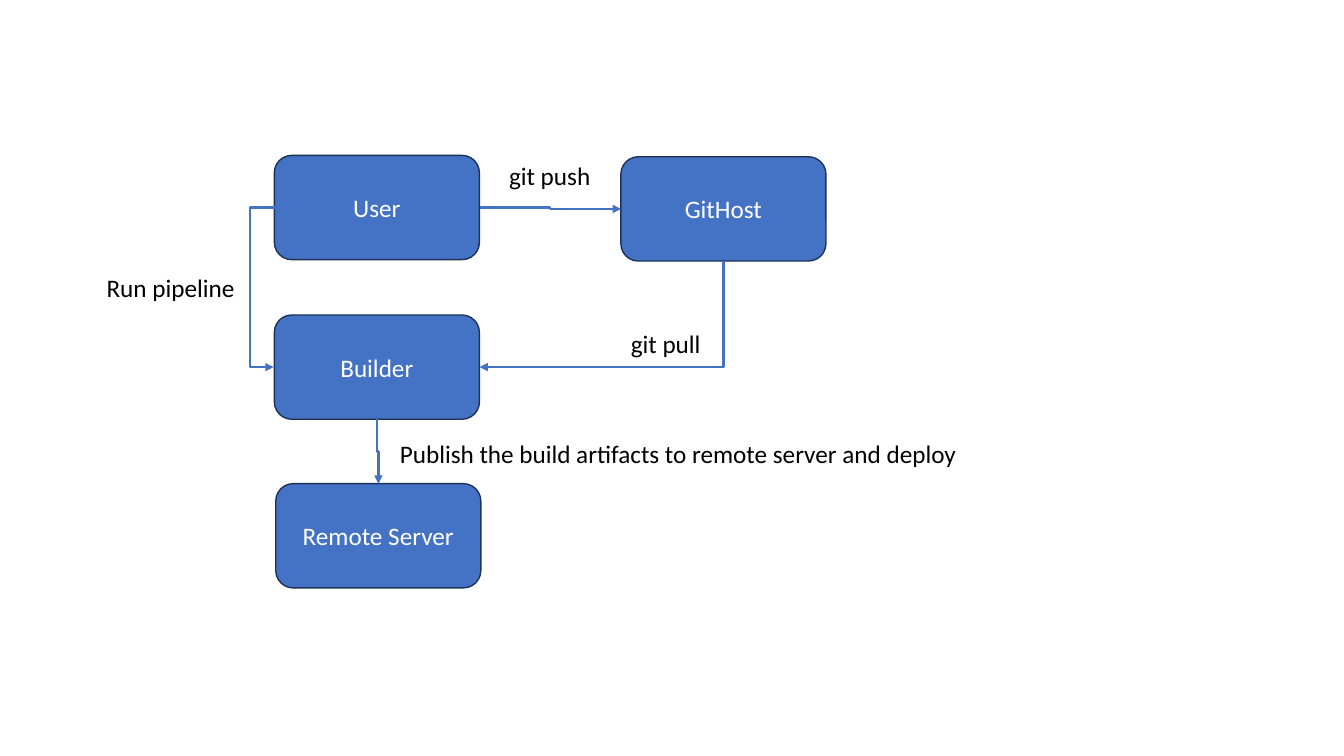
from lxml import etree
from pptx import Presentation
from pptx.dml.color import RGBColor
from pptx.enum import shapes, text
from pptx.oxml import ns
from pptx.util import Pt

BLUE, NAVY, WHITE, BLACK = "4472C4", "1E3256", "FFFFFF", "000000"
TOP, LEFT, BOTTOM, RIGHT = range(4)  # connection sites of a box
BOX_WIDTH, BOX_HEIGHT = 146.5, 74.5


def paint(color_format, color):
    """Set a fill or font colour from a hex string."""
    color_format.rgb = RGBColor.from_string(color)


def write(shape, words, color):
    """Put one line of 18 pt Calibri into a shape."""
    shape.text_frame.text = words
    font = shape.text_frame.paragraphs[0].runs[0].font
    font.name, font.size = "Calibri", Pt(18)
    paint(font.color, color)


deck = Presentation()
deck.slide_width, deck.slide_height = Pt(960), Pt(540)
page = deck.slides.add_slide(deck.slide_layouts[6])

# Stations of the pipeline: name, left, top
stations = [
    ("Remote Server", 197, 345.5),
    ("User", 196, 111),
    ("Builder", 196, 225),
    ("GitHost", 443.5, 112),
]
boxes = {}
for name, left, top in stations:
    box = page.shapes.add_shape(
        shapes.MSO_SHAPE.ROUNDED_RECTANGLE,
        Pt(left), Pt(top), Pt(BOX_WIDTH), Pt(BOX_HEIGHT))
    box.shadow.inherit = False
    box.fill.solid()
    paint(box.fill.fore_color, BLUE)
    box.line.width = Pt(1)
    paint(box.line.color, NAVY)
    write(box, name, WHITE)
    box.text_frame.vertical_anchor = text.MSO_ANCHOR.MIDDLE
    box.text_frame.paragraphs[0].alignment = text.PP_ALIGN.CENTER
    boxes[name] = box

# Step labels: words, left, top, width
labels = [
    ("git pull", 443.5, 231, 65),
    ("git push", 356.5, 111, 73.5),
    ("Run pipeline", 69, 191, 107),
    ("Publish the build artifacts to remote server and deploy", 278.5, 309.5, 417),
]
for words, left, top, width in labels:
    label = page.shapes.add_textbox(Pt(left), Pt(top), Pt(width), Pt(29))
    write(label, words, BLACK)
    label.text_frame.word_wrap = False
    label.text_frame.auto_size = text.MSO_AUTO_SIZE.SHAPE_TO_FIT_TEXT

# Arrows: start, site, end, site, preset, rotation, flip, bend in 1/100000 of width
arrows = [
    ("GitHost", BOTTOM, "Builder", RIGHT, "bentConnector2", 90, None, None),
    ("User", RIGHT, "GitHost", LEFT, "bentConnector3", 0, None, 50000),
    ("User", LEFT, "Builder", LEFT, "bentConnector3", 180, "flipV", 1800000),
    ("Builder", BOTTOM, "Remote Server", TOP, "bentConnector3", 270, "flipH", 50000),
]
for start, start_site, end, end_site, preset, rotation, flip, bend in arrows:
    arrow = page.shapes.add_connector(shapes.MSO_CONNECTOR.ELBOW, 0, 0, 0, 0)
    arrow.begin_connect(boxes[start], start_site)
    arrow.end_connect(boxes[end], end_site)
    middle_x = (arrow.begin_x + arrow.end_x) // 2
    middle_y = (arrow.begin_y + arrow.end_y) // 2
    width = max(abs(arrow.end_x - arrow.begin_x), Pt(1))
    height = max(abs(arrow.end_y - arrow.begin_y), Pt(1))
    if rotation in (90, 270):  # the frame is stored unrotated
        width, height = height, width
    arrow.left, arrow.top = middle_x - width // 2, middle_y - height // 2
    arrow.width, arrow.height = width, height
    arrow.line.width = Pt(1.75)
    paint(arrow.line.color, BLUE)

    properties = arrow._element.spPr
    frame = properties.find(ns.qn("a:xfrm"))
    for side in ("flipH", "flipV"):
        frame.attrib.pop(side, None)
    frame.set("rot", str(rotation * 60000))
    if flip:
        frame.set(flip, "1")
    geometry = properties.find(ns.qn("a:prstGeom"))
    geometry.set("prst", preset)
    if bend:
        guides = geometry.find(ns.qn("a:avLst"))
        etree.SubElement(guides, ns.qn("a:gd"), name="adj1", fmla=f"val {bend}")
    outline = properties.find(ns.qn("a:ln"))
    etree.SubElement(outline, ns.qn("a:tailEnd"), type="triangle")
    etree.SubElement(properties, ns.qn("a:effectLst"))

deck.save("out.pptx")
